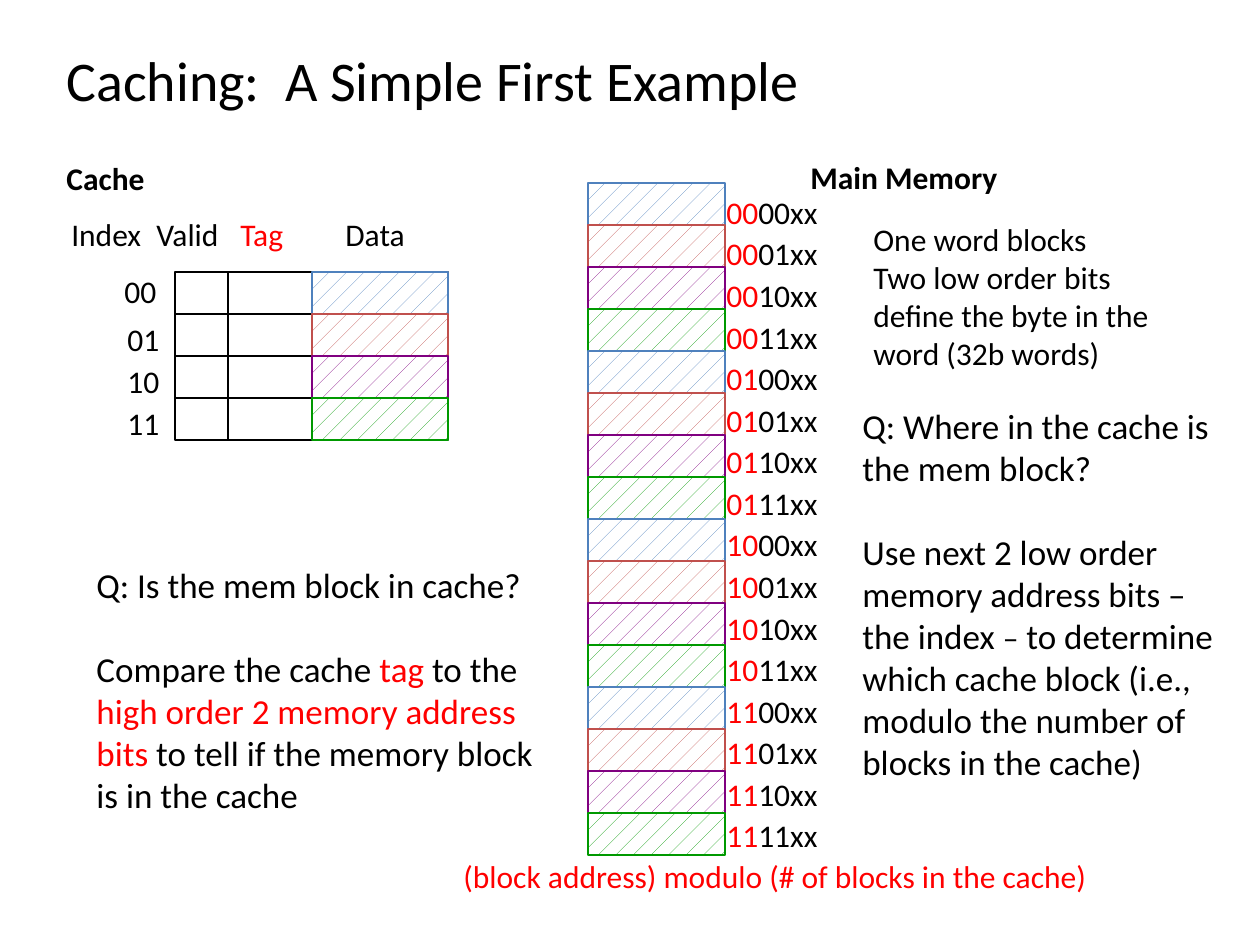
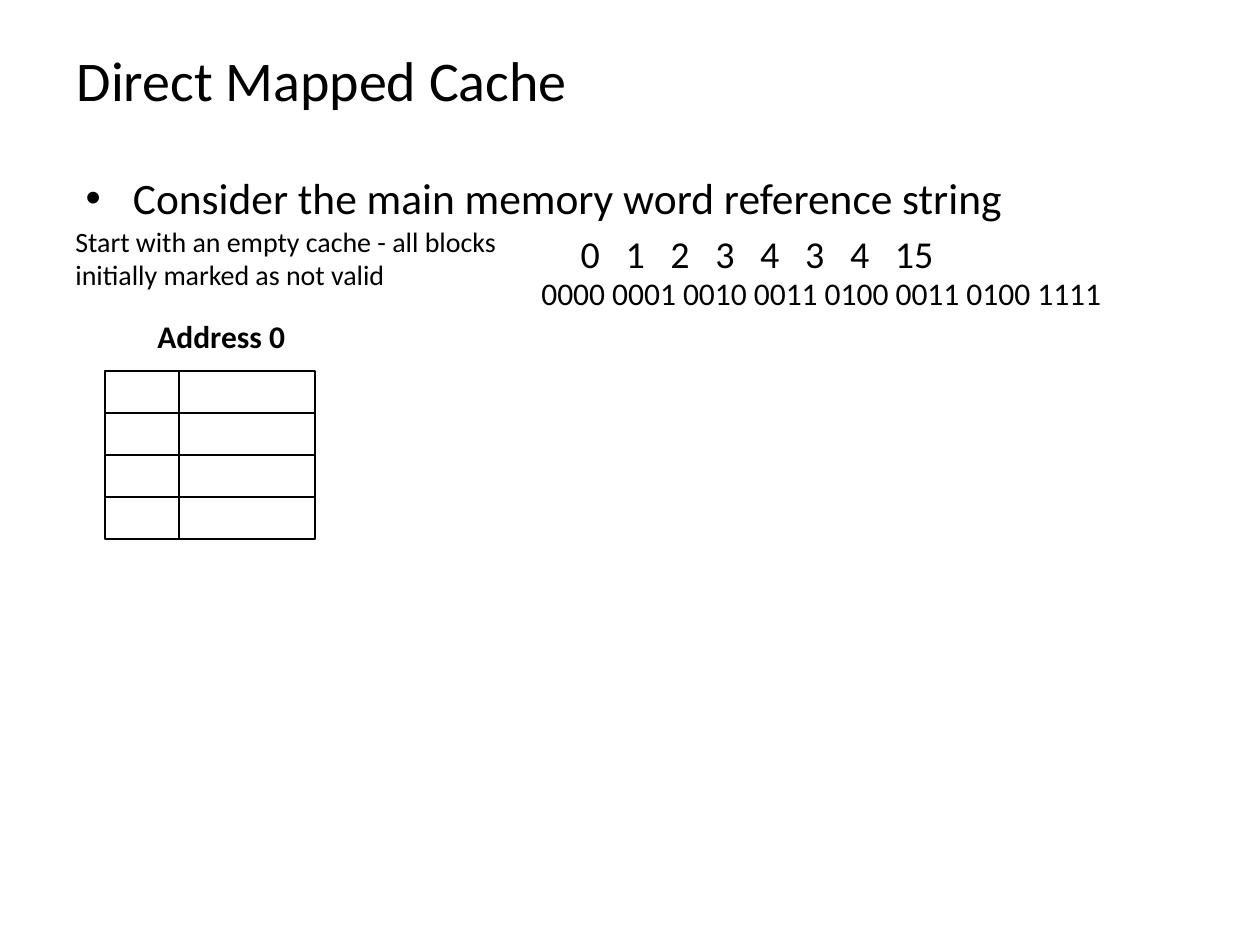
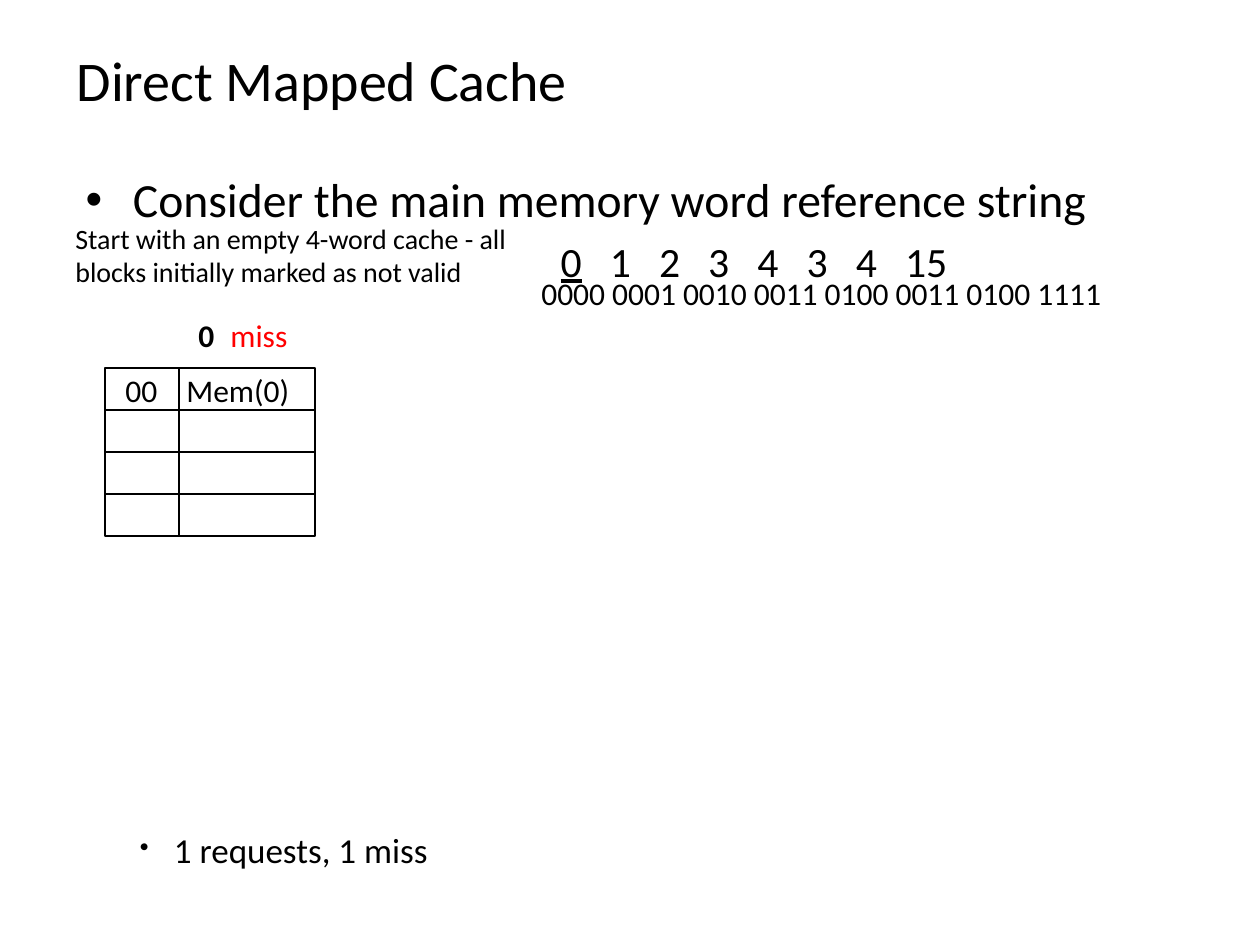
from lxml.etree import SubElement
from pptx import Presentation
from pptx.dml.color import RGBColor
from pptx.enum.dml import MSO_PATTERN
from pptx.enum.shapes import MSO_CONNECTOR, MSO_SHAPE
from pptx.enum.text import MSO_ANCHOR, MSO_AUTO_SIZE, PP_ALIGN
from pptx.oxml.ns import qn
from pptx.util import Emu, Pt

# Shared style
PX = 914400 / 126
FONT = "Calibri"
BLACK = RGBColor(0x00, 0x00, 0x00)
WHITE = RGBColor(0xFF, 0xFF, 0xFF)
RED = RGBColor(0xFF, 0x00, 0x00)
BLUE = RGBColor(0x4F, 0x81, 0xBD)
BRICK = RGBColor(0xC0, 0x50, 0x4D)
PURPLE = RGBColor(0x80, 0x00, 0x80)
GREEN = RGBColor(0x00, 0x99, 0x00)
BLOCK_COLORS = [BLUE, BRICK, PURPLE, GREEN]
ROW_H, DATA_W = 42, 136
MEM_X, MEM_Y, MEM_W, MEM_ROWS = 588, 183, 137, 16
TITLE_W, TITLE_H = 1134, 158
BOLD = {"bold": True}
IN_RED = {"color": RED}

# Slide 1: each label is box, size, paragraphs of (text, format) runs
BITS = ["00", "01", "10", "11"]
ADDRESSES = [[(tag, IN_RED), (index + "xx", {})] for tag in BITS for index in BITS]
INDEX_PLACES = [(112, 266), (115, 314), (115, 356), (115, 398)]
HEADINGS = [
    ("Cache", (54, 153, 120, 50), BOLD),
    ("Main Memory", (798, 152, 227, 50), BOLD),
    ("Index", (59, 209, 102, 50), {}),
    ("Valid", (144, 209, 96, 50), {}),
    ("Tag", (228, 209, 68, 50), IN_RED),
    ("Data", (333, 209, 92, 50), {}),
]
NOTES = [
    ((84, 557, 474, 267), 20, 24, [
        [("Q: Is the mem block in cache?", {})],
        [("Compare the cache ", {}), ("tag ", IN_RED), ("to the ", {}),
         ("high order 2 memory address bits", IN_RED),
         (" to tell if the memory block is in the cache", {})]]),
    ((861, 214, 346, 165), 18, 0, [
        [("One word blocks", {})],
        [("Two low order bits define the byte in the word (32b words)", {})]]),
    ((850, 398, 378, 394), 20, 24, [
        [("Q: Where in the cache is the mem block?", {})],
        [("Use next 2 low order memory address bits – the index ", {}),
         ("–", {"size": Pt(18)}),
         (" to determine which cache block (i.e., modulo the number of "
          "blocks in the cache)", {})]]),
    ((451, 851, 756, 50), 18, 0, [
        [("(block address) modulo (# of blocks in the cache)", IN_RED)]]),
]

# Slides 2 and 3
REFERENCES = ["0", "1", "2", "3", "4", "3", "4", "15"]
BINARY = "0000 0001 0010 0011 0100 0011 0100 1111"
CONSIDER = "Consider the main memory word reference string"
STEPS = [
    {"body": (73, 165, 1081, 106), "sizes": (24.8, 21.7), "first": 495,
     "current": None, "grid_top": 371, "start_top": 218,
     "start": "Start with an empty cache - all blocks initially marked as not valid",
     "labels": [("Address 0", (145, 311, 155, 50), BOLD)]},
    {"body": (73, 164, 1081, 112), "sizes": (27.2, 23.8), "first": 475,
     "current": 0, "grid_top": 368, "start_top": 215,
     "start": "Start with an empty 4-word cache - all blocks initially marked as not valid",
     "labels": [("0", (186, 310, 43, 50), BOLD),
                ("miss", (218, 310, 83, 50), IN_RED),
                ("00", (113, 365, 60, 50), {}),
                ("Mem(0)", (174, 365, 128, 50), {})],
     "tally": "1 requests, 1 miss"},
]


def px(n):
    return Emu(round(n * PX))


def place(sp, box):
    for name, n in zip(("left", "top", "width", "height"), box):
        setattr(sp, name, px(n))


def add_runs(p, runs, size):
    for text, fmt in runs:
        r = p.add_run()
        r.text = text
        for name, value in {"name": FONT, "size": Pt(size), "color": BLACK, **fmt}.items():
            if name == "color":
                r.font.color.rgb = value
            else:
                setattr(r.font, name, value)


def add_text(s, box, paragraphs, size=18, wrap=True, gap=0, spacing=None):
    tf = s.shapes.add_textbox(*map(px, box)).text_frame
    tf.word_wrap = wrap
    tf.auto_size = MSO_AUTO_SIZE.SHAPE_TO_FIT_TEXT
    for i, runs in enumerate(paragraphs):
        p = tf.paragraphs[0] if i == 0 else tf.add_paragraph()
        add_runs(p, runs, size)
        if i and gap:
            p.space_before = Pt(gap)
        if spacing:
            p.line_spacing = spacing
    return tf


def add_labels(s, labels):
    for text, box, fmt in labels:
        add_text(s, box, [[(text, fmt)]], wrap=False)


def set_indent(p, margin, indent):
    pPr = p._p.get_or_add_pPr()
    pPr.set("marL", str(px(margin)))
    pPr.set("indent", str(px(indent)))
    return pPr


def add_rect(s, box, color):
    sp = s.shapes.add_shape(MSO_SHAPE.RECTANGLE, *map(px, box))
    sp.shadow.inherit = False
    sp.fill.background()
    sp.line.color.rgb = color
    sp.line.width = Pt(1)
    return sp


def add_line(s, *ends):
    line = s.shapes.add_connector(MSO_CONNECTOR.STRAIGHT, *map(px, ends))
    line.line.color.rgb = BLACK
    line.line.width = Pt(1)
    SubElement(line._element.spPr, qn("a:effectLst"))
    return line


def add_blocks(s, left, top, width, count):
    for i in range(count):
        color = BLOCK_COLORS[i % len(BLOCK_COLORS)]
        sp = add_rect(s, (left, top + i * ROW_H, width, ROW_H), color)
        sp.fill.patterned()
        sp.fill.pattern = MSO_PATTERN.PERCENT_5
        sp.fill.fore_color.rgb = color
        sp.fill.back_color.rgb = WHITE


def add_column(s, left, top, width, rows=4):
    frame = add_rect(s, (left, top, width, rows * ROW_H), BLACK)
    for i in range(1, rows):
        y = top + i * ROW_H
        line = add_line(s, left, y, left + width, y)
        if 2 * i == rows:
            line.begin_connect(frame, 1)
            line.end_connect(frame, 3)


def add_memory_grid(s):
    right, bottom = MEM_X + MEM_W, MEM_Y + MEM_ROWS * ROW_H
    for y in range(MEM_Y, bottom + 1, ROW_H):
        add_line(s, MEM_X, y, right, y)
    for x in (MEM_X, right):
        add_line(s, x, MEM_Y, x, bottom)


def new_slide(prs, layout, title, left):
    s = prs.slides.add_slide(prs.slide_layouts[layout])
    place(s.shapes.title, (left, 0, TITLE_W, TITLE_H))
    tf = s.shapes.title.text_frame
    tf.auto_size = MSO_AUTO_SIZE.NONE
    tf.vertical_anchor = MSO_ANCHOR.MIDDLE
    p = tf.paragraphs[0]
    p.alignment = PP_ALIGN.LEFT
    add_runs(p, [(title, {})], 32)
    return s


def example_slide(prs):
    s = new_slide(prs, 5, "Caching:  A Simple First Example", 54)
    # Cache and main memory
    for left, width in ((175, 53), (228, 84), (312, DATA_W)):
        add_column(s, left, 272, width)
    add_memory_grid(s)
    add_blocks(s, 312, 272, DATA_W, 4)
    add_blocks(s, MEM_X, MEM_Y, MEM_W, MEM_ROWS)
    # Labels
    add_labels(s, HEADINGS)
    add_labels(s, [(bits, (x, y, 60, 50), {}) for bits, (x, y) in zip(BITS, INDEX_PLACES)])
    add_text(s, (714, 183, 136, 678), ADDRESSES, spacing=1.1)
    for box, size, gap, paragraphs in NOTES:
        add_text(s, box, paragraphs, size, gap=gap)


def add_references(p, step):
    size = step["sizes"][1]
    p.level = 1
    SubElement(set_indent(p, step["first"], 0), qn("a:buNone"))
    for i, word in enumerate(REFERENCES):
        if i:
            # One space, widened to three by character spacing
            add_runs(p, [(" ", {})], size)
            p.runs[-1]._r.get_or_add_rPr().set("spc", str(round(45 * size)))
        add_runs(p, [(word, {"underline": i == step["current"]})], size)


def step_slide(prs, step):
    s = new_slide(prs, 1, "Direct Mapped Cache", 64)
    # Reference string
    body = s.placeholders[1]
    place(body, step["body"])
    tf = body.text_frame
    tf.auto_size = MSO_AUTO_SIZE.NONE
    add_runs(tf.paragraphs[0], [(CONSIDER, {})], step["sizes"][0])
    add_references(tf.add_paragraph(), step)
    # Cache
    add_column(s, 105, step["grid_top"], 74)
    add_column(s, 179, step["grid_top"], DATA_W)
    # Labels
    add_labels(s, step["labels"] + [(BINARY, (529, 268, 592, 50), {})])
    add_text(s, (63, step["start_top"], 472, 81), [[(step["start"], {})]], 16)
    if "tally" in step:
        tf = add_text(s, (63, 825, 1124, 49), [[(step["tally"], {})]], 20)
        for side, n in {"left": 9, "top": 4, "right": 9, "bottom": 4}.items():
            setattr(tf, "margin_" + side, px(n))
        p = tf.paragraphs[0]
        p.level = 1
        p.space_before = Pt(6)
        pPr = set_indent(p, 102, -34)
        SubElement(pPr, qn("a:buSzPct"), val="75000")
        SubElement(pPr, qn("a:buChar"), char="•")


def main():
    prs = Presentation()
    prs.slide_width, prs.slide_height = px(1260), px(945)
    example_slide(prs)
    for step in STEPS:
        step_slide(prs, step)
    prs.save("out.pptx")


if __name__ == "__main__":
    main()
